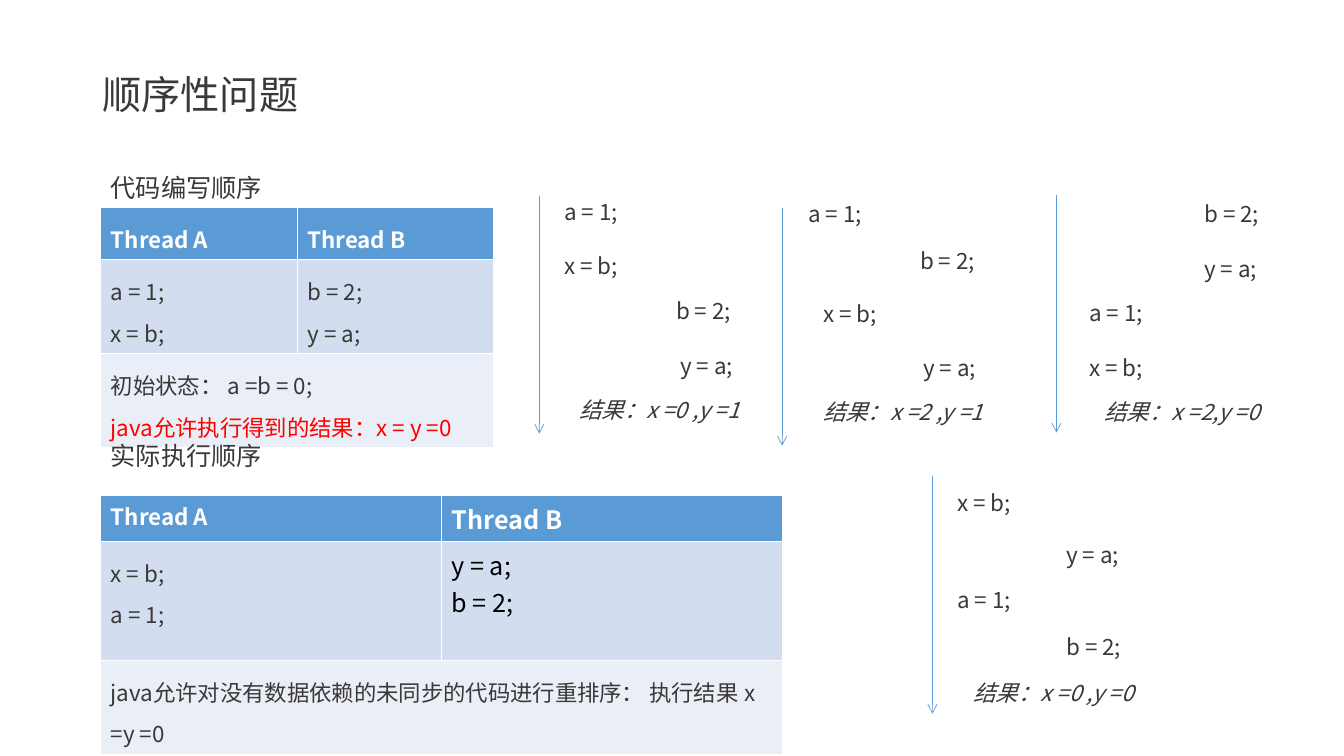
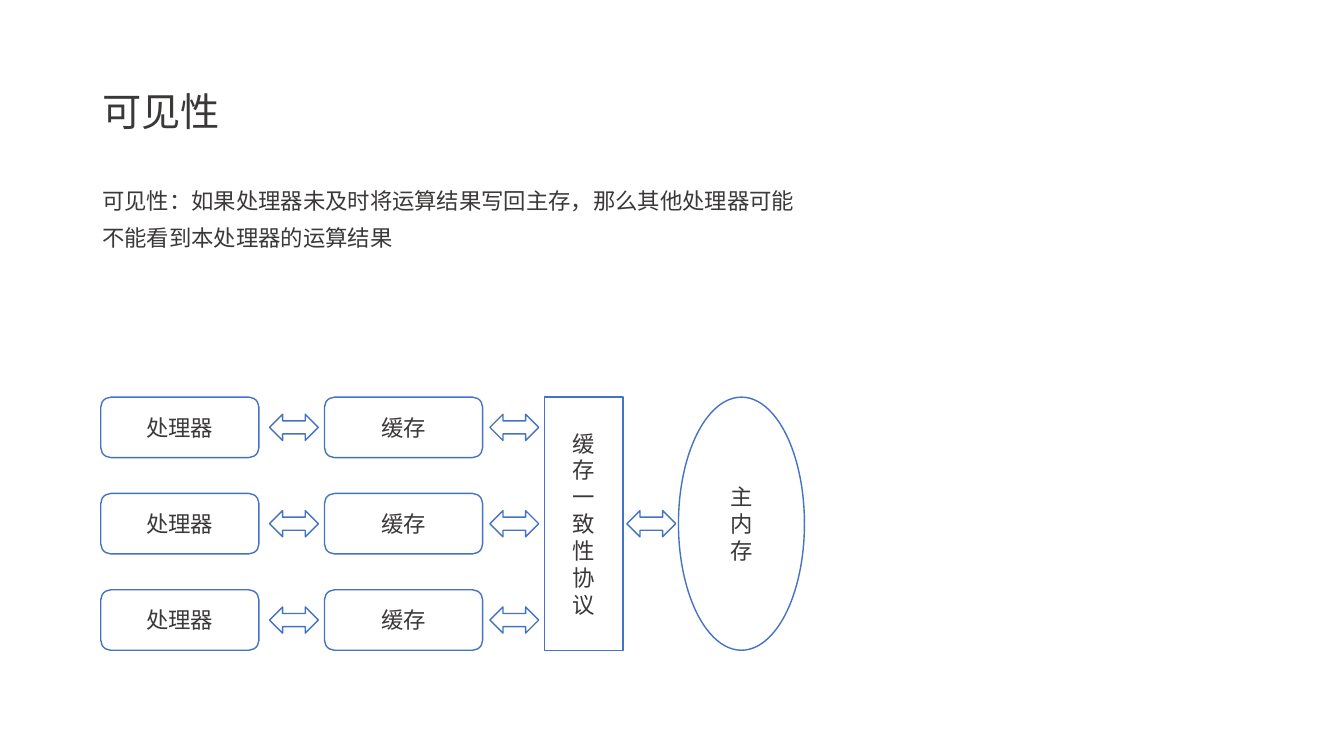
from dataclasses import dataclass

from lxml import etree
from pptx import Presentation
from pptx.dml.color import RGBColor
from pptx.enum.shapes import MSO_CONNECTOR, MSO_SHAPE
from pptx.enum.text import MSO_ANCHOR, MSO_AUTO_SIZE, PP_ALIGN
from pptx.oxml.ns import qn
from pptx.util import Pt

STRAIGHT = MSO_CONNECTOR.STRAIGHT
ROUNDED = MSO_SHAPE.ROUNDED_RECTANGLE
RECTANGLE = MSO_SHAPE.RECTANGLE
OVAL = MSO_SHAPE.OVAL
DOUBLE_ARROW = MSO_SHAPE.LEFT_RIGHT_ARROW
TOP, MIDDLE = MSO_ANCHOR.TOP, MSO_ANCHOR.MIDDLE
FIXED, GROW = MSO_AUTO_SIZE.NONE, MSO_AUTO_SIZE.SHAPE_TO_FIT_TEXT
LEFT, CENTER = PP_ALIGN.LEFT, PP_ALIGN.CENTER

FONT = "Noto Sans CJK SC"
COLORS = {
    "ink": "3B3838",
    "black": "000000",
    "white": "FFFFFF",
    "red": "FF0000",
    "accent": "5B9BD5",
    "outline": "4472C4",
    "band_dark": "D2DEEF",
    "band_light": "EAEFF7",
}
ROW_FILLS = ("accent", "band_dark", "band_light")
TIMELINE_LENGTH = 170


@dataclass(frozen=True)
class Line:
    text: str
    size: float = 16
    color: str = "ink"
    spacing: float = 1.0
    bold: bool = False
    italic: bool = False
    align: PP_ALIGN = LEFT


@dataclass(frozen=True)
class Box:
    left: float
    top: float
    width: float
    height: float

    def lengths(self) -> list:
        return [Pt(value) for value in (self.left, self.top, self.width, self.height)]


@dataclass(frozen=True)
class ThreadTable:
    left: float
    top: float
    column_width: float
    row_heights: tuple
    cells: tuple


@dataclass(frozen=True)
class Schedule:
    arrow: tuple
    places: dict
    result: str
    result_place: tuple
    result_width: float = 144


@dataclass(frozen=True)
class Statement:
    width: float
    height: float
    spacing: float


STATEMENTS = {
    "a = 1;": Statement(57.6, 28, 1.0),
    "x = b;": Statement(57.6, 32.4, 1.3),
    "b = 2;": Statement(59, 28, 1.0),
    "y = a;": Statement(57, 32.4, 1.3),
}


def code(*texts: str) -> list:
    return [Line(text, spacing=1.3) for text in texts]


def header(text: str, size: float = 16, spacing: float = 1.0) -> list:
    return [Line(text, size, "white", spacing, bold=True)]


TABLES = (
    ThreadTable(72, 148.3, 140.4, (30, 60, 60), (
        (header("Thread A", spacing=1.3), header("Thread B", spacing=1.3)),
        (code("a = 1;", "x = b;"), code("b = 2;", "y = a;")),
        (code("初始状态： a =b = 0;")
         + [Line("java允许执行得到的结果：x = y =0", color="red", spacing=1.3)],),
    )),
    ThreadTable(72, 353.5, 243.4, (30, 85, 60), (
        (header("Thread A"), header("Thread B", size=18)),
        (code("x = b;", "a = 1;"),
         [Line("y = a;", 18, "black"), Line("b = 2;", 18, "black")]),
        (code("java允许对没有数据依赖的未同步的代码进行重排序： 执行结果 x =y =0"),),
    )),
)

SCHEDULES = (
    Schedule((385.2, 139.7),
             {"a = 1;": (396, 138.2), "x = b;": (396, 170.6),
              "b = 2;": (475.9, 208.8), "y = a;": (478.8, 241.9)},
             "结果：x =0 ,y =1", (406.8, 279.4)),
    Schedule((558.7, 148.3),
             {"a = 1;": (570.2, 139.7), "b = 2;": (650.2, 172.8),
              "x = b;": (581, 205.2), "y = a;": (652.3, 243.4)},
             "结果：x =2 ,y =1", (581, 280.8)),
    Schedule((754.6, 139),
             {"b = 2;": (853.2, 139.7), "y = a;": (853.2, 172.8),
              "a = 1;": (771.1, 210.2), "x = b;": (771.1, 243.4)},
             "结果：x =2,y =0", (781.9, 280.8), 134.6),
    Schedule((666, 339.8),
             {"x = b;": (676.8, 339.8), "y = a;": (754.6, 377.3),
              "a = 1;": (676.8, 415.4), "b = 2;": (754.6, 448.6)},
             "结果：x =0 ,y =0", (688.3, 481.7)),
)


def rgb(name: str) -> RGBColor:
    return RGBColor.from_string(COLORS[name])


def apply_format(target, values: dict) -> None:
    for name, value in values.items():
        setattr(target, name, value)


def write_lines(frame, lines: list) -> None:
    for index, line in enumerate(lines):
        paragraph = frame.add_paragraph() if index else frame.paragraphs[0]
        apply_format(paragraph, {
            "alignment": line.align,
            "line_spacing": line.spacing,
            "space_before": Pt(0),
        })
        run = paragraph.add_run()
        run.text = line.text
        apply_format(run.font, {
            "name": FONT,
            "size": Pt(line.size),
            "bold": line.bold,
            "italic": line.italic,
        })
        run.font.color.rgb = rgb(line.color)
        properties = run.font._element
        etree.SubElement(properties, qn("a:ea")).set("typeface", FONT)


def add_text(shapes, box: Box, line: Line, wrap: bool = False) -> None:
    frame = shapes.add_textbox(*box.lengths()).text_frame
    apply_format(frame, {"word_wrap": wrap, "auto_size": GROW, "vertical_anchor": TOP})
    write_lines(frame, [line])


def add_titled_slide(presentation, title: str, height: float):
    slide = presentation.slides.add_slide(presentation.slide_layouts[5])
    placeholder = slide.shapes.title
    apply_format(placeholder, {
        "left": Pt(66), "top": Pt(28.8), "width": Pt(828), "height": Pt(height),
    })
    frame = placeholder.text_frame
    apply_format(frame, {"vertical_anchor": MIDDLE, "auto_size": FIXED, "word_wrap": True})
    write_lines(frame, [Line(title, 28, spacing=0.9)])
    return slide


def add_thread_table(shapes, layout: ThreadTable) -> None:
    frame = shapes.add_table(
        len(layout.row_heights), 2, Pt(layout.left), Pt(layout.top),
        Pt(2 * layout.column_width), Pt(sum(layout.row_heights)))
    table = frame.table
    for column in table.columns:
        column.width = Pt(layout.column_width)
    for row_index, height in enumerate(layout.row_heights):
        table.rows[row_index].height = Pt(height)
        for cell in table.rows[row_index].cells:
            cell.fill.solid()
            cell.fill.fore_color.rgb = rgb(ROW_FILLS[row_index])
        contents = layout.cells[row_index]
        if len(contents) == 1:
            table.cell(row_index, 0).merge(table.cell(row_index, 1))
        for column_index, lines in enumerate(contents):
            write_lines(table.cell(row_index, column_index).text_frame, lines)


def add_timeline(shapes, left: float, top: float) -> None:
    connector = shapes.add_connector(
        STRAIGHT, Pt(left), Pt(top), Pt(left), Pt(top + TIMELINE_LENGTH))
    connector.line.color.rgb = rgb("accent")
    connector.line.width = Pt(0.5)
    properties = connector._element.spPr
    outline = properties.find(qn("a:ln"))
    etree.SubElement(outline, qn("a:tailEnd")).set("type", "arrow")
    etree.SubElement(properties, qn("a:effectLst"))


def add_schedule(slide, schedule: Schedule) -> None:
    shapes = slide.shapes.add_group_shape().shapes
    add_timeline(shapes, *schedule.arrow)
    for text, place in schedule.places.items():
        statement = STATEMENTS[text]
        add_text(shapes, Box(*place, statement.width, statement.height),
                 Line(text, spacing=statement.spacing))
    add_text(shapes, Box(*schedule.result_place, schedule.result_width, 28),
             Line(schedule.result, italic=True))


def add_node(shapes, kind: MSO_SHAPE, box: Box, texts: tuple = ()) -> None:
    shape = shapes.add_shape(kind, *box.lengths())
    shape.shadow.inherit = False
    shape.fill.solid()
    shape.fill.fore_color.rgb = rgb("white")
    shape.line.color.rgb = rgb("outline")
    shape.line.width = Pt(1)
    shape.text_frame.vertical_anchor = MIDDLE
    write_lines(shape.text_frame, [Line(text, align=CENTER) for text in texts])


def build_ordering(presentation) -> None:
    slide = add_titled_slide(presentation, "顺序性问题", 80.6)
    for layout in TABLES:
        add_thread_table(slide.shapes, layout)
    for text, top in (("代码编写顺序", 119.5), ("实际执行顺序", 311)):
        add_text(slide.shapes, Box(72, top, 122.4, 29), Line(text, 18))
    for schedule in SCHEDULES:
        add_schedule(slide, schedule)


def build_visibility(presentation) -> None:
    slide = add_titled_slide(presentation, "可见性", 104.4)
    add_text(slide.shapes, Box(66, 122.4, 509, 61.2), Line(
        "可见性：如果处理器未及时将运算结果写回主存，那么其他处理器可能不能看到本处理器的运算结果",
        spacing=1.4), wrap=True)
    shapes = slide.shapes.add_group_shape().shapes
    top, pitch, node_height, arrow_height = 283.7, 68.8, 43.2, 18.7
    total_height = 2 * pitch + node_height
    arrow_offset = (node_height - arrow_height) / 2
    for row in range(3):
        row_top = top + row * pitch
        for left, text in ((72, "处理器"), (231.8, "缓存")):
            add_node(shapes, ROUNDED, Box(left, row_top, 113, node_height), (text,))
        for left in (192.5, 349.9):
            add_node(shapes, DOUBLE_ARROW,
                     Box(left, row_top + arrow_offset, 34.9, arrow_height))
    add_node(shapes, RECTANGLE, Box(388.8, top, 56.2, total_height), tuple("缓存一致性协议"))
    add_node(shapes, DOUBLE_ARROW,
             Box(447.8, top + pitch + arrow_offset, 34.9, arrow_height))
    add_node(shapes, OVAL, Box(484.6, top, 90, total_height), tuple("主内存"))


def main() -> None:
    presentation = Presentation()
    presentation.slide_width = Pt(960)
    presentation.slide_height = Pt(540)
    build_ordering(presentation)
    build_visibility(presentation)
    presentation.save("out.pptx")


if __name__ == "__main__":
    main()
